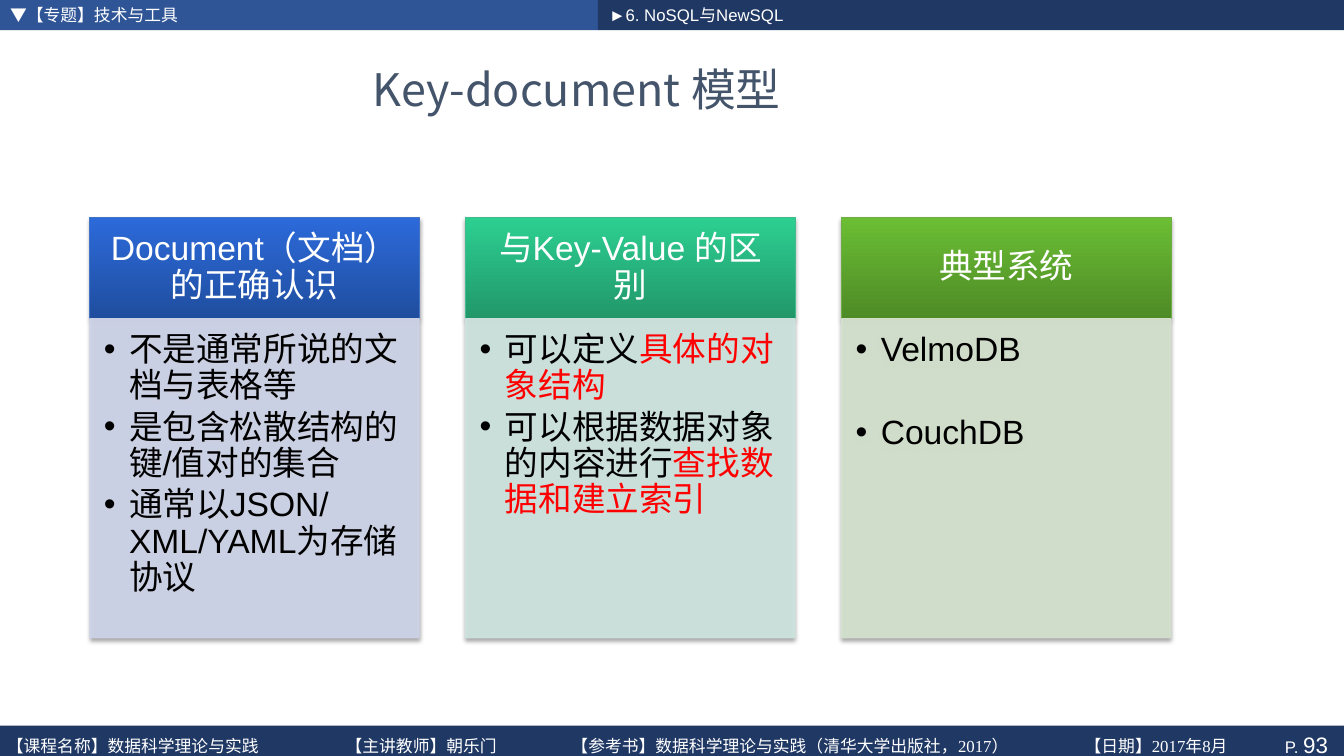
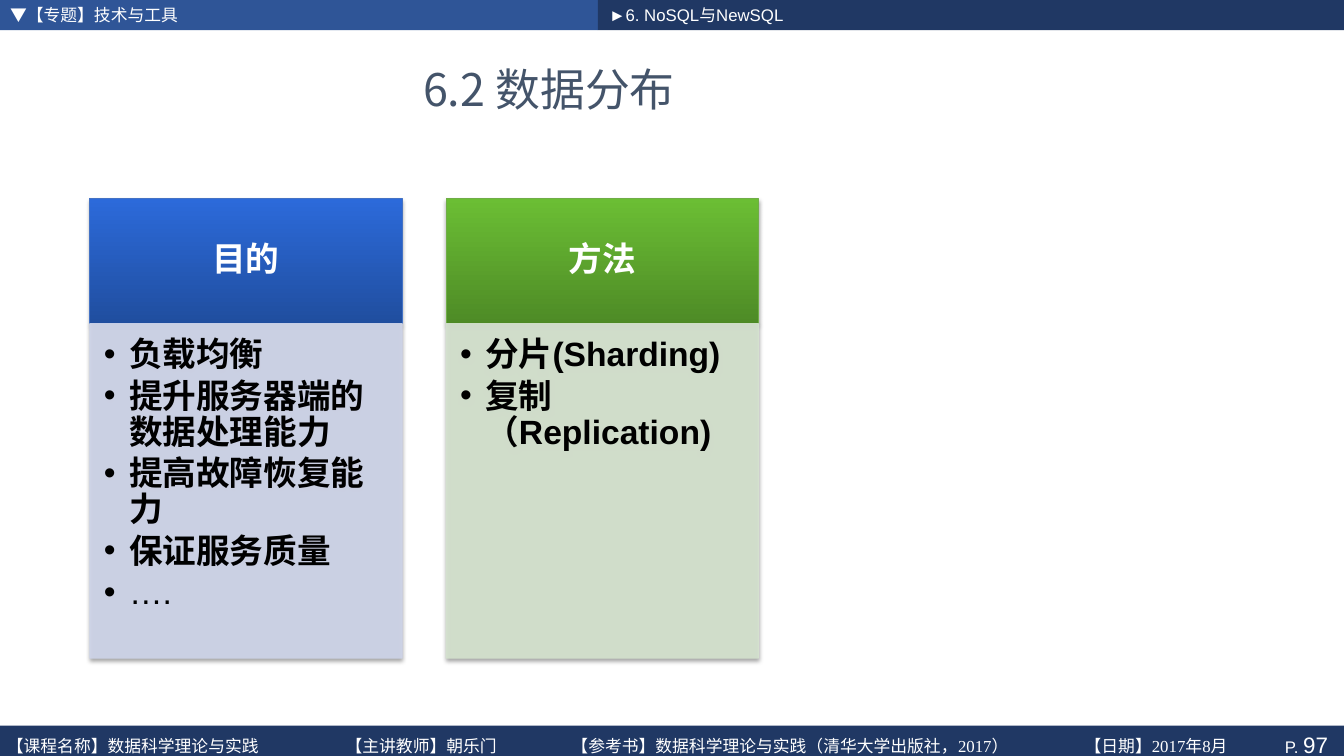
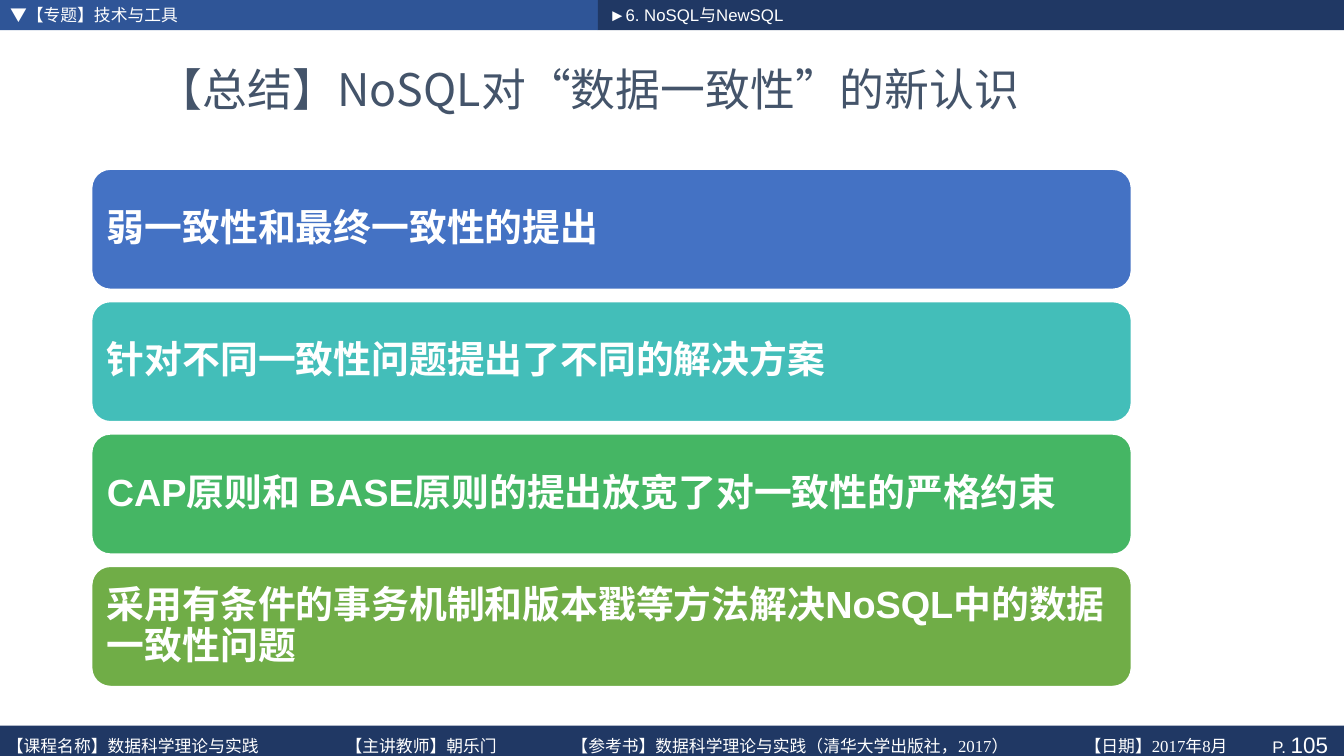
from lxml import etree
from pptx import Presentation
from pptx.dml.color import RGBColor
from pptx.enum.shapes import MSO_SHAPE as SHAPE
from pptx.enum.text import MSO_ANCHOR as ANCHOR, MSO_AUTO_SIZE as AUTO, PP_ALIGN as ALIGN
from pptx.oxml.ns import qn
from pptx.util import Inches, Pt

CJK = "Noto Sans CJK SC"
NAVY, BLUE, WHITE, BLACK, RED, SLATE = "203864", "2F5597", "FFFFFF", "000000", "FF0000", "44546A"
TOPIC = "▼【专题】技术与工具"
CHAPTER = "►6. NoSQL与NewSQL"
FOOTER = [
    (-0.03, 3, "【课程名称】数据科学理论与实践"),
    (3.33, 2.2, "【主讲教师】朝乐门"),
    (5.57, 5, "【参考书】数据科学理论与实践（清华大学出版社，2017）"),
    (10.66, 2, "【日期】2017年8月"),
]
BANDS = [(0, 0, 5.93, 0.3, BLUE), (5.93, 0, 7.4, 0.3, NAVY), (0, 7.2, 13.33, 0.37, NAVY)]

THEMES = {
    "blue": dict(grad=("204E9F", "2C6ADA"), line="4472C4", tint="CFD5EA"),
    "teal": dict(grad=("21976A", "2DCF91"), line="43BB8D", tint="CFE6E0"),
    "green": dict(grad=("4E8B26", "6BBE34"), line="70AD47", tint="D5E3CF"),
}

SLIDES = [
    dict(title="Key-document 模型", title_width=10.56, page=93,
         cards=dict(top=2.16, width=3.27, head=1, body=3.17, bold=False, columns=[
             ("blue", "Document（文档）的正确认识", [
                 "不是通常所说的文档与表格等",
                 "是包含松散结构的键/值对的集合",
                 "通常以JSON/XML/YAML为存储协议"]),
             ("teal", "与Key-Value 的区别", [
                 ["可以定义", ("具体的对象结构", dict(color=RED))],
                 ["可以根据数据对象的内容进行", ("查找数据和建立索引", dict(color=RED))]]),
             ("green", "典型系统", ["VelmoDB", "CouchDB"]),
         ], gaps={"green": 30})),
    dict(title="6.2 数据分布", title_width=10.01, page=97,
         cards=dict(top=1.97, width=3.1, head=1.24, body=3.32, bold=True, columns=[
             ("blue", "目的", [
                 "负载均衡",
                 "提升服务器端的数据处理能力",
                 "提高故障恢复能力",
                 "保证服务质量",
                 [("….", dict(bold=False))]]),
             ("green", "方法", ["分片(Sharding)", "复制（Replication)"]),
         ], gaps={})),
    dict(title="【总结】NoSQL对“数据一致性”的新认识", title_width=10.8, page=105,
         rows=[
             ("4472C4", "弱一致性和最终一致性的提出"),
             ("43BEB9", "针对不同一致性问题提出了不同的解决方案"),
             ("45B664", "CAP原则和 BASE原则的提出放宽了对一致性的严格约束"),
             ("70AD47", "采用有条件的事务机制和版本戳等方法解决NoSQL中的数据一致性问题"),
         ]),
]


def rgb(value):
    return RGBColor.from_string(value)


def sub(parent, tag, **attrs):
    return etree.SubElement(parent, qn(tag), {k: str(v) for k, v in attrs.items()})


def add_run(p, text, size=24, color=BLACK, font="Arial", bold=False):
    r = p.add_run()
    r.text = text
    r.font.size = Pt(size)
    r.font.bold = bold
    r.font.color.rgb = rgb(color)
    r.font.name = font
    sub(r.font._element, "a:ea", typeface=CJK)


def write(sp, paragraphs, align=ALIGN.LEFT, anchor=ANCHOR.TOP, insets=(0.1, 0.05, 0.1, 0.05),
          spacing=None, after=0, gap=0, bullet=False, **font):
    tf = sp.text_frame
    tf.word_wrap = True
    tf.auto_size = AUTO.NONE
    tf.vertical_anchor = anchor
    tf.margin_left, tf.margin_top, tf.margin_right, tf.margin_bottom = map(Inches, insets)
    for i, runs in enumerate(paragraphs):
        p = tf.paragraphs[0] if i == 0 else tf.add_paragraph()
        p.alignment = align
        p.line_spacing = spacing
        p.space_before = Pt(gap if i else 0)
        p.space_after = Pt(after)
        pPr = p._p.get_or_add_pPr()
        indent = Inches(0.25) if bullet else 0
        pPr.set("marL", str(indent))
        pPr.set("indent", str(-indent))
        if bullet:
            sub(pPr, "a:buFont", typeface="Arial")
            sub(pPr, "a:buChar", char="•")
        else:
            sub(pPr, "a:buNone")
        for run in [runs] if isinstance(runs, str) else runs:
            text, changes = (run, {}) if isinstance(run, str) else run
            add_run(p, text, **{**font, **changes})


def place(sp, *box):
    sp.left, sp.top, sp.width, sp.height = map(Inches, box)
    return sp


def add_box(slide, *box, kind=SHAPE.RECTANGLE, fill=None, grad=None, line=None, line_width=0.5,
            alpha=None, shadow=False):
    sp = slide.shapes.add_shape(kind, *map(Inches, box))
    if grad:
        sp.fill.gradient()
        sp.fill.gradient_angle = 90
        for stop, color in zip(sp.fill.gradient_stops, grad):
            stop.color.rgb = rgb(color)
    else:
        sp.fill.solid()
        sp.fill.fore_color.rgb = rgb(fill)
    if line:
        sp.line.color.rgb = rgb(line)
        sp.line.width = Pt(line_width)
    else:
        sp.line.fill.background()
    spPr = sp.element.spPr
    if alpha:
        for color in spPr.iter(qn("a:srgbClr")):
            sub(color, "a:alpha", val=alpha * 1000)
    sp.shadow.inherit = False
    if shadow:
        outer = sub(spPr.find(qn("a:effectLst")), "a:outerShdw", blurRad=Pt(3.1), dist=Pt(2),
                    dir=5400000, rotWithShape=0)
        sub(sub(outer, "a:srgbClr", val=BLACK), "a:alpha", val=38000)
    return sp


def add_bands(slide):
    parts = [add_box(slide, *box, fill=color) for *box, color in BANDS]
    for left, width, text in FOOTER:
        sp = slide.shapes.add_textbox(*map(Inches, (left, 7.25, width, 0.28)))
        write(sp, [text], size=12, color=WHITE, font="Times New Roman")
        parts.append(sp)
    for sp in parts:
        slide.slide_layout.shapes.element.append(sp.element)


def add_frame(slide, title, title_width, page):
    heading, topic, chapter = slide.placeholders
    place(heading, 0.44, 0.43, title_width, 0.9)
    write(heading, [title], align=ALIGN.CENTER, anchor=ANCHOR.MIDDLE, size=32, color=SLATE, font=CJK)
    write(place(topic, 0, 0, 4.83, 0.29), [TOPIC], size=12, color=WHITE)
    write(place(chapter, 5.94, 0, 2.38, 0.29), [CHAPTER], size=12, color=WHITE)
    number = slide.shapes.add_textbox(*map(Inches, (12.27, 7.2, 1, 0.37)))
    write(number, [["P. ", (str(page), dict(size=16))]], align=ALIGN.RIGHT,
          anchor=ANCHOR.MIDDLE, size=12, color=WHITE)


def add_cards(slide, top, width, head, body, bold, columns, gaps):
    for i, (name, heading, items) in enumerate(columns):
        theme = THEMES[name]
        left = 0.89 + i * width * 1.14
        sp = add_box(slide, left, top, width, head, grad=theme["grad"], line=theme["line"], shadow=True)
        write(sp, [heading], align=ALIGN.CENTER, anchor=ANCHOR.MIDDLE,
              insets=(0.19, 0.11, 0.19, 0.11), spacing=0.9, color=WHITE, bold=bold)
        sp = add_box(slide, left, top + head, width, body, fill=theme["tint"], line=theme["tint"],
                     alpha=90, shadow=True)
        write(sp, items, insets=(0.14, 0.14, 0.19, 0.21), spacing=0.9, after=3.6,
              gap=gaps.get(name, 0), bullet=True, bold=bold)


def add_rows(slide, rows):
    for i, (color, text) in enumerate(rows):
        sp = add_box(slide, 0.89, 1.66 + i * 3.94 / 3, 10.35, 1.23, kind=SHAPE.ROUNDED_RECTANGLE,
                     fill=color, line=WHITE, line_width=3.78)
        write(sp, [text], anchor=ANCHOR.MIDDLE, insets=(0.11,) * 4, spacing=0.9,
              size=27, color=WHITE, bold=True)


def main():
    prs = Presentation()
    prs.slide_width, prs.slide_height = Inches(13.33), Inches(7.5)
    layout = prs.slide_layouts.get_by_name("Two Content")
    for i, page in enumerate(SLIDES):
        slide = prs.slides.add_slide(layout)
        if i == 0:
            add_bands(slide)
        add_frame(slide, page["title"], page["title_width"], page["page"])
        if "cards" in page:
            add_cards(slide, **page["cards"])
        else:
            add_rows(slide, page["rows"])
    prs.save("out.pptx")


if __name__ == "__main__":
    main()
